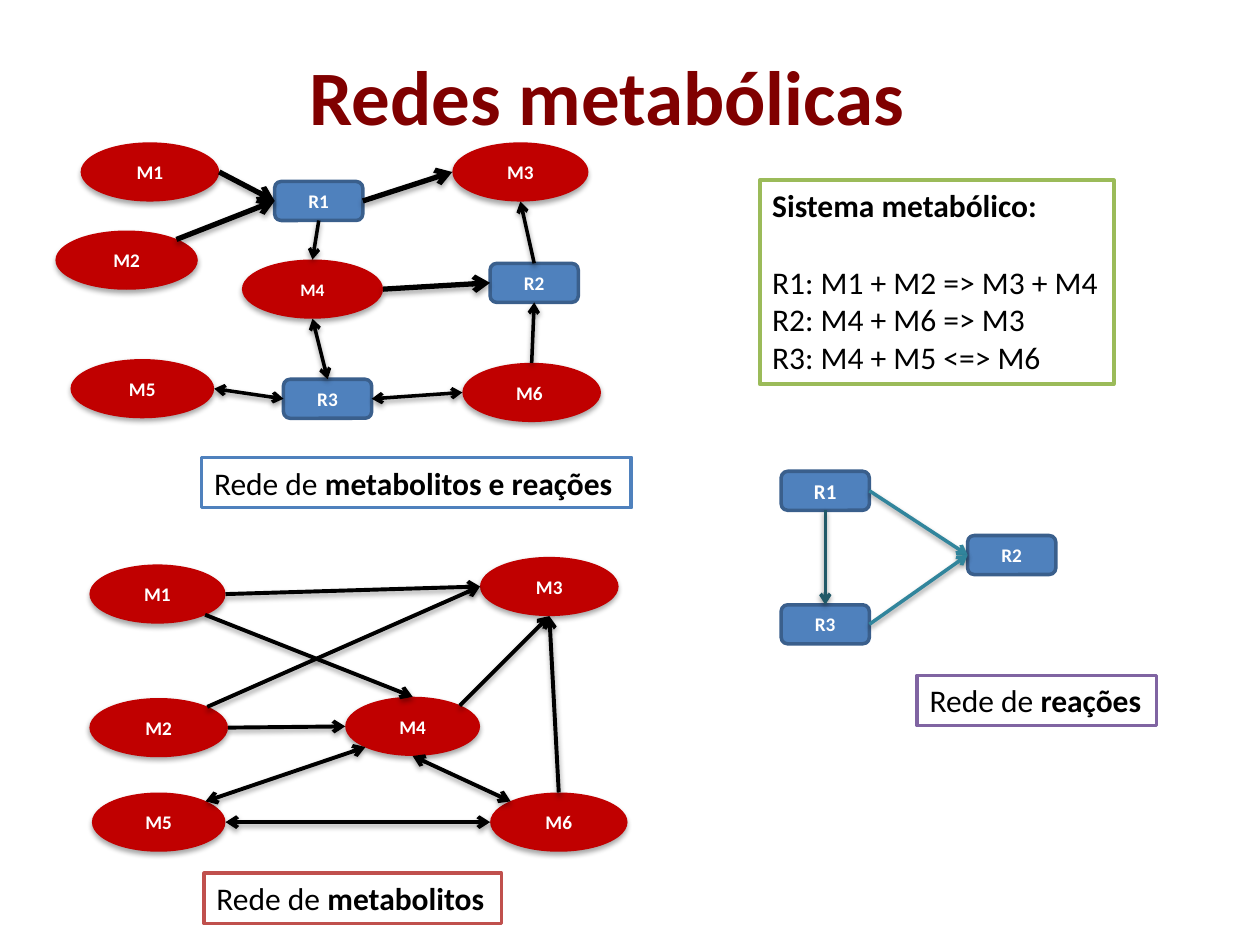
from lxml.etree import SubElement as Sub
from pptx import Presentation
from pptx.dml.color import RGBColor as Rgb
from pptx.enum.shapes import MSO_CONNECTOR as Conn, MSO_SHAPE as Kind
from pptx.enum.text import MSO_ANCHOR as Anchor, MSO_AUTO_SIZE as Auto, PP_ALIGN as Align
from pptx.oxml.ns import qn
from pptx.util import Inches, Pt

WIDE, HIGH = Inches(10), Inches(7.5)
COLS, ROWS = 100, 75
RED, BLUE, EDGE = "C00000", "4F81BD", "3A5F8C"
BLACK, WHITE = "000000", "FFFFFF"
SIDES = {
    "t": (0.5, 0), "b": (0.5, 1), "l": (0, 0.5), "r": (1, 0.5),
    "tl": (0.15, 0.15), "tr": (0.85, 0.15),
    "bl": (0.15, 0.85), "br": (0.85, 0.85),
}

MIXED = [
    ("M1", 6.4, 11.3, 11), ("M2", 4.4, 18.3, 11.3), ("M3", 35.9, 11.3, 10.8),
    ("M4", 19.2, 20.6, 11.2, 10), ("M5", 5.6, 28.5, 11.4), ("M6 ", 36.7, 28.8, 11),
    ("R1", 21.8, 14.4), ("R2", 38.9, 20.9), ("R3", 22.5, 30.1),
]
MIXED_BOLD = ["M1 r > R1 l", "M2 tr > R1 l", "M4 r > R2 l", "R1 r > M3 l"]
MIXED_THIN = [
    "M5 r <> R3 l", "M4 b <> R3 t", "R1 b > M4 t",
    "M6 t > R2 b", "R2 t > M3 b", "R3 r <> M6 l",
]
METABS = [
    ("M1", 7.1, 44.8, 10.8), ("M2", 7.1, 55.4, 11), ("M3", 38.1, 44.2, 11),
    ("M4", 27.4, 55.3, 10.7), ("M5", 7.3, 62.9, 10.6), ("M6", 38.9, 62.9, 10.9),
]
METAB_LINKS = [
    "M1 r > M3 l", "M2 tr > M3 l", "M5 r <> M6 l", "M4 b <> M6 tl",
    "M6 t > M3 b", "M4 tr > M3 b", "M1 br > M4 t", "M2 r > M4 l",
]
REACTS = [("R1", 62, 37.4, 7, 12), ("R2", 76.8, 42.5), ("R3", 62, 48)]
SYSTEM = ["R1: M1 + M2 => M3 + M4", "R2: M4 + M6 => M3", "R3: M4 + M5 <=> M6"]


def hue(code):
    return Rgb.from_string(code)


def grid(x, y):
    return round(x * WIDE / COLS), round(y * HIGH / ROWS)


def style(item, **vals):
    for name, val in vals.items():
        setattr(item, name, val)


def paint(shape, fill, line=None):
    shape.fill.solid()
    shape.fill.fore_color.rgb = hue(fill)
    if line:
        style(shape.line, width=Pt(2))
        shape.line.color.rgb = hue(line)
    else:
        shape.line.fill.background()


def write(para, text, size, color=BLACK, bold=False):
    run = para.add_run()
    run.text = text
    style(run.font, name="Calibri", size=Pt(size), bold=bold)
    run.font.color.rgb = hue(color)


def shade(props, alpha=35, dist=1.8):
    found = props.find(qn("a:effectLst"))
    list_ = Sub(props, qn("a:effectLst")) if found is None else found
    outer = Sub(list_, qn("a:outerShdw"), blurRad=str(Pt(3.1)),
                dist=str(Pt(dist)), dir="5400000", rotWithShape="0")
    tone = Sub(outer, qn("a:srgbClr"), val=BLACK)
    Sub(tone, qn("a:alpha"), val=str(alpha * 1000))


def node(slide, text, x, y, width=7, size=11):
    metab = text.startswith("M")
    kind = Kind.OVAL if metab else Kind.ROUNDED_RECTANGLE
    shape = slide.shapes.add_shape(kind, *grid(x, y), *grid(width, 4.7 if metab else 3.1))
    paint(shape, RED if metab else BLUE, None if metab else EDGE)
    shape.shadow.inherit = False
    if metab:
        shade(shape.element.spPr)
    frame = shape.text_frame
    style(frame, vertical_anchor=Anchor.MIDDLE, word_wrap=True)
    frame.paragraphs[0].alignment = Align.CENTER
    write(frame.paragraphs[0], text, size, WHITE, True)
    return shape


def nodes(slide, rows):
    return {row[0].strip(): node(slide, *row) for row in rows}


def port(shape, side):
    across, down = SIDES[side]
    return (round(shape.left + across * shape.width),
            round(shape.top + down * shape.height))


def link(slide, net, rule, width, color=BLACK, **glow):
    start, out, mark, end, into = rule.split()
    line = slide.shapes.add_connector(
        Conn.STRAIGHT, *port(net[start], out), *port(net[end], into))
    line.line.width = Pt(width)
    line.line.color.rgb = hue(color)
    props = line.element.spPr
    stroke = props.find(qn("a:ln"))
    if mark == "<>":
        Sub(stroke, qn("a:headEnd"), type="arrow")
    Sub(stroke, qn("a:tailEnd"), type="arrow")
    shade(props, **glow)


def frame(slide, x, y, width, height, color):
    box = slide.shapes.add_textbox(*grid(x, y), *grid(width, height))
    paint(box, WHITE, color)
    style(box.text_frame, word_wrap=False, auto_size=Auto.SHAPE_TO_FIT_TEXT)
    return box.text_frame


def label(slide, text, x, y, width, color):
    para = frame(slide, x, y, width, 4, color).paragraphs[0]
    write(para, "Rede de ", 18)
    write(para, text, 18, bold=True)


def system(slide):
    body = frame(slide, 60.3, 14.3, 28.1, 16.2, "9BBB59")
    head = body.paragraphs[0]
    head.space_after = Pt(22)
    write(head, "Sistema metabólico:", 18, bold=True)
    for text in SYSTEM:
        write(body.add_paragraph(), text, 18)


def title(slide, text):
    shape = slide.shapes.title
    left, top = grid(3.2, 1.3)
    width, height = grid(90, 12.5)
    style(shape, left=left, top=top, width=width, height=height)
    shape.text_frame.vertical_anchor = Anchor.MIDDLE
    para = shape.text_frame.paragraphs[0]
    para.alignment = Align.CENTER
    write(para, text, 44, "800000", True)


def main():
    deck = Presentation()
    style(deck, slide_width=WIDE, slide_height=HIGH)
    slide = deck.slides.add_slide(deck.slide_layouts[5])
    title(slide, "Redes metabólicas")
    soft = dict(alpha=38, dist=1.6)

    mixed = nodes(slide, MIXED)
    for rule in MIXED_BOLD:
        link(slide, mixed, rule, 3)
    for rule in MIXED_THIN:
        link(slide, mixed, rule, 2, **soft)

    metabs = nodes(slide, METABS)
    for rule in METAB_LINKS + ["M5 tr <> M4 bl"]:
        link(slide, metabs, rule, 2.25)

    reacts = nodes(slide, REACTS)
    link(slide, reacts, "R1 b > R3 t", 2, "215968", **soft)
    for rule in ("R1 r > R2 l", "R3 r > R2 l"):
        link(slide, reacts, rule, 2, "31859C", **soft)

    system(slide)
    label(slide, "metabolitos e reações", 16, 36.3, 34.1, BLUE)
    label(slide, "metabolitos", 16.2, 69.3, 23.6, "C0504D")
    label(slide, "reações", 72.8, 53.6, 19, "8064A2")
    deck.save("out.pptx")


main()
